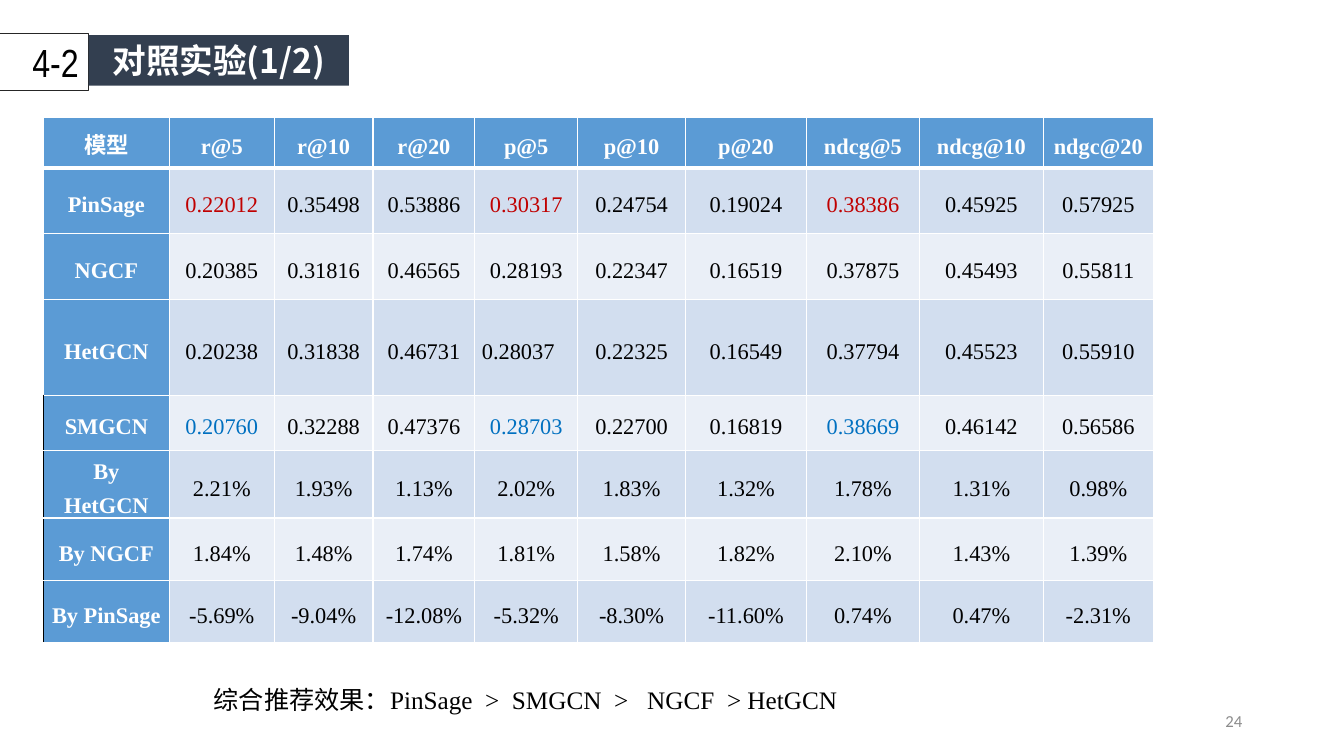
from dataclasses import dataclass

from lxml.etree import SubElement
from pptx import Presentation
from pptx.dml.color import RGBColor
from pptx.enum.shapes import MSO_SHAPE
from pptx.enum.text import MSO_ANCHOR, PP_ALIGN
from pptx.oxml.ns import qn
from pptx.util import Inches, Pt


@dataclass(frozen=True)
class Theme:
    black: str = "000000"
    white: str = "FFFFFF"
    edge: str = "262626"
    navy: str = "333F50"
    blue: str = "5B9BD5"
    bands: tuple = ("D2DEEF", "EAEFF7")
    best: str = "C00000"
    ours: str = "0070C0"
    gray: str = "8C8C8C"
    serif: str = "Times New Roman"
    sans: str = "Calibri"
    narrow: str = "Arial Narrow"
    hans: str = "Noto Sans CJK SC"
    label: int = 28
    title: int = 24
    note: int = 18
    body: int = 16
    small: int = 12


THEME = Theme()

HEADS = ["模型", "r@5", "r@10", "r@20", "p@5", "p@10", "p@20",
         "ndcg@5", "ndcg@10", "ndgc@20"]
SCORES = {
    "PinSage": "0.22012 0.35498 0.53886 0.30317 0.24754 0.19024 0.38386 0.45925 0.57925",
    "NGCF": "0.20385 0.31816 0.46565 0.28193 0.22347 0.16519 0.37875 0.45493 0.55811",
    "HetGCN": "0.20238 0.31838 0.46731 0.28037 0.22325 0.16549 0.37794 0.45523 0.55910",
    "SMGCN": "0.20760 0.32288 0.47376 0.28703 0.22700 0.16819 0.38669 0.46142 0.56586",
    "By HetGCN": "2.21% 1.93% 1.13% 2.02% 1.83% 1.32% 1.78% 1.31% 0.98%",
    "By NGCF": "1.84% 1.48% 1.74% 1.81% 1.58% 1.82% 2.10% 1.43% 1.39%",
    "By PinSage": "-5.69% -9.04% -12.08% -5.32% -8.30% -11.60% 0.74% 0.47% -2.31%",
}
WIDTHS = [1.25, 1.04, 0.98, 1.01, 1.02, 1.07, 1.2, 1.12, 1.23, 1.09]
HEIGHTS = [0.51, 0.65, 0.65, 0.95, 0.55, 0.67, 0.62, 0.62]
MARKS = {"PinSage": THEME.best, "SMGCN": THEME.ours}
MARKED = ("r@5", "p@5", "ndcg@5")
LEFT_CELL = ("HetGCN", "p@5")


def rgb(code):
    return RGBColor.from_string(code)


def style(run, face, size, color, bold=False):
    font = run.font
    font.name, font.size, font.bold = face, Pt(size), bold
    font.color.rgb = rgb(color)
    east = SubElement(font._element, qn("a:ea"))
    east.set("typeface", THEME.hans)


def write(frame, text, face, size, color, align, bold=False):
    """Fill a text frame with one line, centred vertically."""
    frame.vertical_anchor = MSO_ANCHOR.MIDDLE
    line = frame.paragraphs[0]
    line.text, line.alignment = text, align
    style(line.runs[0], face, size, color, bold)


def place(box):
    return [Inches(size) for size in box]


def add_box(slide, box, fill=None, line=None):
    shape = slide.shapes.add_shape(MSO_SHAPE.RECTANGLE, *place(box))
    shape.shadow.inherit = False
    if fill:
        shape.fill.solid()
        shape.fill.fore_color.rgb = rgb(fill)
    else:
        shape.fill.background()
    if line:
        shape.line.color.rgb = rgb(line)
        shape.line.width = Pt(0.75)
    else:
        shape.line.fill.background()
    frame = shape.text_frame
    frame.margin_top = frame.margin_bottom = 0
    return frame


def add_header(slide, box):
    """Section number, flush with the title bar on its right."""
    left, top, width, height = box
    tab = 0.9
    number = add_box(slide, (left, top, tab, height), line=THEME.edge)
    write(number, "4-2", THEME.narrow, THEME.label, THEME.black, PP_ALIGN.RIGHT)
    bar = (left + tab, top + 0.02, width - tab, 0.5)
    title = add_box(slide, bar, fill=THEME.navy)
    write(title, "对照实验(1/2)", THEME.hans, THEME.title, THEME.white,
          PP_ALIGN.CENTER, True)


def add_edges(cell, edges):
    """Draw cell borders from {side: (colour, points)}."""
    props = cell._tc.get_or_add_tcPr()
    for side, (color, width) in edges.items():
        line = SubElement(props, qn(f"a:ln{side}"), w=str(Pt(width)))
        fill = SubElement(line, qn("a:solidFill"))
        SubElement(fill, qn("a:srgbClr"), val=color)


def fill_cell(cell, text, fill, color, edges, bold, align):
    add_edges(cell, edges)
    cell.fill.solid()
    cell.fill.fore_color.rgb = rgb(fill)
    cell.margin_left = cell.margin_right = Inches(0.07)
    cell.margin_top = cell.margin_bottom = 0
    cell.vertical_anchor = MSO_ANCHOR.MIDDLE
    line = cell.text_frame.paragraphs[0]
    line.text, line.alignment = text, align
    line.line_spacing = Pt(24)
    style(line.runs[0], THEME.serif, THEME.body, color, bold)


def add_scores(slide, left, top):
    rows = [HEADS] + [[name, *vals.split()] for name, vals in SCORES.items()]
    box = (left, top, sum(WIDTHS), sum(HEIGHTS))
    table = slide.shapes.add_table(len(rows), len(HEADS), *place(box)).table
    table.first_row = table.horz_banding = False
    for col, width in zip(table.columns, WIDTHS):
        col.width = Inches(width)
    for row, height in zip(table.rows, HEIGHTS):
        row.height = Inches(height)

    for r, row in enumerate(rows):
        for c, text in enumerate(row):
            name, head = row[0], HEADS[c]
            key = r == 0 or c == 0
            fill = THEME.blue if key else THEME.bands[(r - 1) % 2]
            color = THEME.white if key else THEME.black
            if r and head in MARKED:
                color = MARKS.get(name, color)
            edges = {side: (THEME.white, 1) for side in "LRTB"}
            if r < 2:
                edges["T" if r else "B"] = (THEME.white, 3)
            if c == 0 and r > 3:
                edges["L"] = (THEME.black, 1)
            shift = (name, head) == LEFT_CELL
            align = PP_ALIGN.LEFT if shift else PP_ALIGN.CENTER
            fill_cell(table.cell(r, c), text, fill, color, edges, key, align)


def add_summary(slide, box):
    frame = slide.shapes.add_textbox(*place(box)).text_frame
    frame.word_wrap = False
    line = frame.paragraphs[0]
    for text, face in (("综合推荐效果：", THEME.sans),
                       ("PinSage  >  SMGCN  >   NGCF  > HetGCN", THEME.serif)):
        run = line.add_run()
        run.text = text
        style(run, face, THEME.note, THEME.black)


def add_number(slide, box):
    frame = slide.shapes.add_textbox(*place(box)).text_frame
    frame.word_wrap = True
    write(frame, "24", THEME.sans, THEME.small, THEME.gray, PP_ALIGN.RIGHT)


def main():
    deck = Presentation()
    deck.slide_width, deck.slide_height = Inches(13.33), Inches(7.5)
    slide = deck.slides.add_slide(deck.slide_layouts[6])
    add_header(slide, (-0.02, 0.33, 3.48, 0.57))
    add_number(slide, (9.42, 6.95, 3, 0.4))
    add_scores(slide, 0.43, 1.16)
    add_summary(slide, (2.02, 6.74, 6.45, 0.4))
    deck.save("out.pptx")


if __name__ == "__main__":
    main()
